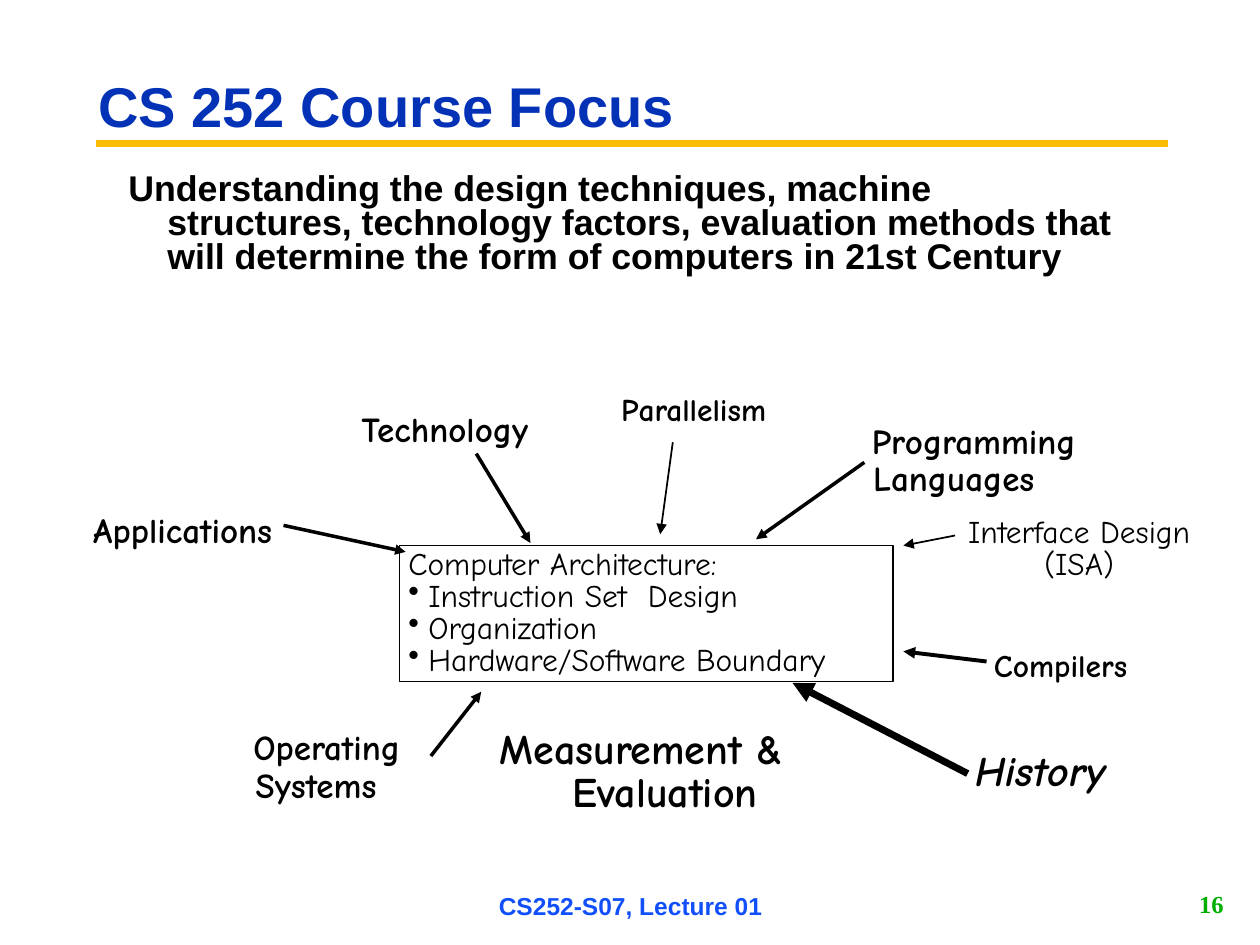
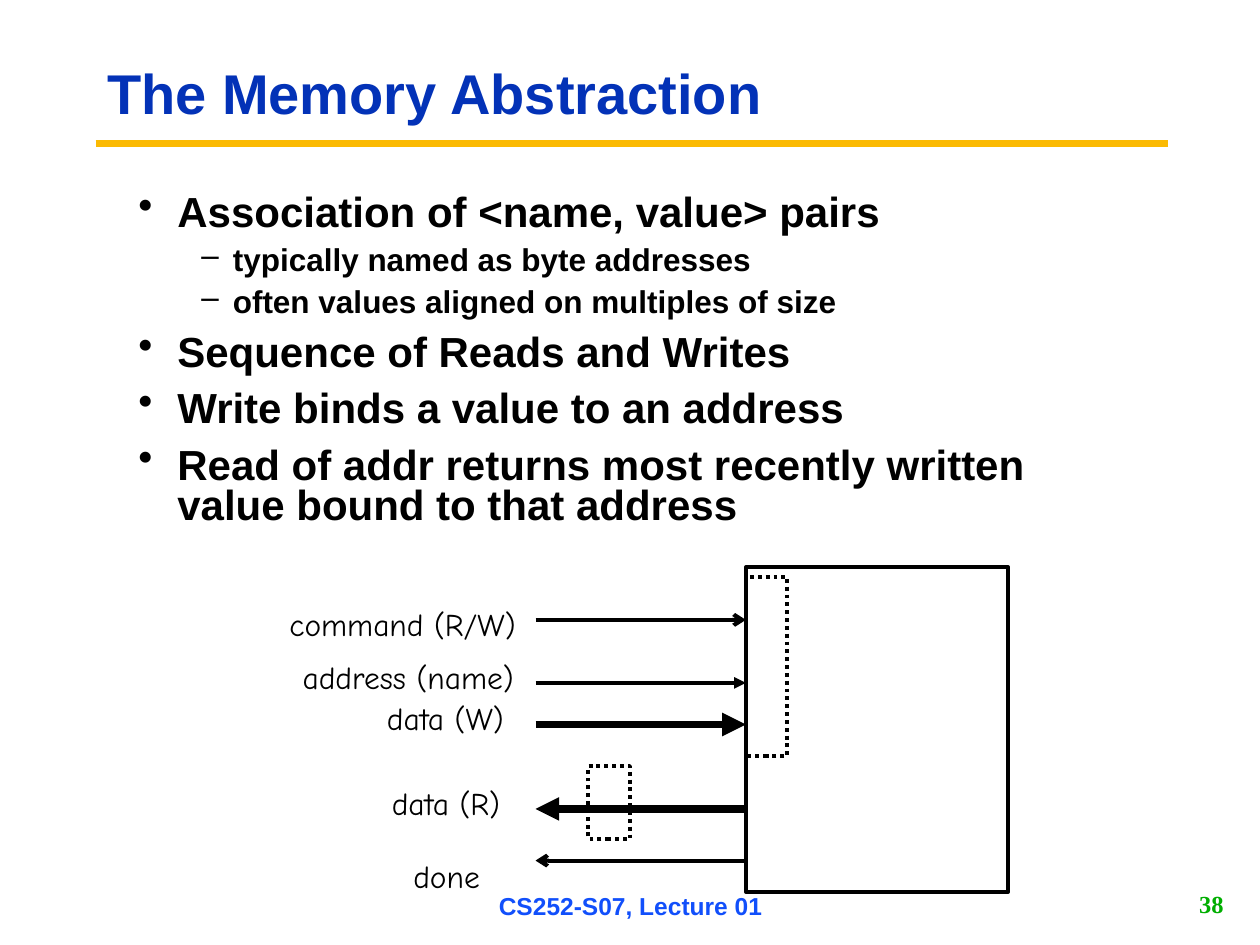
from lxml.etree import SubElement
from pptx import Presentation
from pptx.dml.color import RGBColor
from pptx.enum.dml import MSO_LINE
from pptx.enum.shapes import MSO_CONNECTOR, MSO_SHAPE
from pptx.enum.text import MSO_ANCHOR, MSO_AUTO_SIZE, PP_ALIGN
from pptx.oxml.ns import qn
from pptx.util import Pt

# Shared style: 100 px to the inch
EMU_PER_PX = 9144
COLORS = {"title": "0332B7", "rule": "FBBA03", "footer": "114FFB",
          "number": "00AE00", "ink": "000000"}
HAND, SANS, SERIF = "Comic Neue", "Arial", "Times New Roman"
LEFT, CENTER, RIGHT = PP_ALIGN.LEFT, PP_ALIGN.CENTER, PP_ALIGN.RIGHT
WIDE, NARROW = (10, 5), (7, 3)  # text insets: sides, top and bottom

RULE = (76, 114, 927, 114)
FOOTER = "CS252-S07, Lecture 01"
FOOTER_BOX, NUMBER_BOX = (342, 703, 317, 31), (773, 701, 208, 32)

# Content of the course focus slide
FOCUS_TITLE, FOCUS_TITLE_BOX = "CS 252 Course Focus", (68, 66, 792, 42)
GOAL = ("Understanding the design techniques, machine structures, technology "
        "factors, evaluation methods that will determine the form of computers "
        "in 21st Century")
GOAL_BOX = (92, 133, 808, 100)

TOPIC = dict(size=20, bold=True, spacing=1.02)
TOPICS = [  # text lines, box, format
    (["Technology"], (280, 320, 148, 40), TOPIC),
    (["Programming"], (685, 329, 177, 40), TOPIC),
    (["Languages"], (686, 359, 142, 40), TOPIC),
    (["Operating"], (194, 572, 131, 40), TOPIC),
    (["Systems"], (196, 602, 110, 40), TOPIC),
    (["History"], (767, 590, 117, 44),
     dict(size=24, bold=True, italic=True, spacing=0.97)),
    (["Applications"], (67, 400, 156, 40), TOPIC),
    (["Interface Design", "(ISA)"], (761, 408, 191, 57),
     dict(align=CENTER, spacing=0.85)),
    (["Measurement & Evaluation"], (340, 576, 338, 74),
     dict(size=24, bold=True, align=CENTER, spacing=0.86, wrap=True,
          margin=38, hang=38)),
    (["Parallelism"], (486, 311, 130, 31), dict(bold=True, spacing=0.85)),
    (["Compilers"], (779, 508, 126, 40), dict(bold=True, insets=WIDE)),
]
TOPIC_ARROWS = [  # from x, y to x, y; points
    ((225, 417, 322, 438), 2),
    ((342, 600, 382, 549), 2),
    ((378, 360, 421, 431), 2),
    ((686, 367, 600, 428), 2),
    ((768, 614, 629, 542), 4),
    ((758, 425, 717, 433), 1),
    ((534, 351, 524, 424), 1),
    ((783, 525, 717, 517), 2.25),
]
AREA = dict(bullet="•", margin=16, hang=16)
ARCHITECTURE = ["Computer Architecture:",
                ("Instruction Set  Design", AREA),
                ("Organization", AREA),
                ("Hardware/Software Boundary", AREA)]
ARCHITECTURE_BOX = (317, 433, 392, 108)

# Content of the memory slide
MEMORY_TITLE, MEMORY_TITLE_BOX = "The Memory Abstraction", (75, 36, 798, 81)
POINT = dict(bullet="•", size=24, before=9, margin=31, hang=31)
DETAIL = dict(bullet="–", size=18, before=6.8, margin=75, hang=25)
POINTS = [
    ("Association of <name, value> pairs", POINT),
    ("typically named as byte addresses", DETAIL),
    ("often values aligned on multiples of size", DETAIL),
    ("Sequence of Reads and Writes", POINT),
    ("Write binds a value to an address", POINT),
    ("Read of addr returns most recently written value bound to that address",
     POINT),
]
POINTS_BOX = (100, 150, 783, 275)
MEMORY_BOX = (592, 450, 208, 258)
BUFFER_BOXES = [(592, 458, 33, 142), (467, 608, 33, 58)]
SIGNAL_START, LABEL_HEIGHT = 425, 40
SIGNALS = [  # label, its left, top and width; arrow y, points, head, into memory
    ("address (name)", 230, 517, 188, 542, 2.25, "triangle", True),
    ("command (R/W)", 220, 475, 199, 492, 2.25, "arrow", True),
    ("data (W)", 297, 550, 113, 575, 4.5, "triangle", True),
    ("data (R)", 301, 617, 106, 642, 4.5, "triangle", False),
    ("done", 318, 675, 73, 683, 2.25, "arrow", False),
]


def px(*lengths):
    return [length * EMU_PER_PX for length in lengths]


def rgb(name):
    return RGBColor.from_string(COLORS[name])


def add_bullet(paragraph, mark, margin, hang):
    """Indent a paragraph and give it a bullet, if there is a mark."""
    properties = paragraph._p.get_or_add_pPr()
    left, first = px(margin, -hang)
    properties.set("marL", str(left))
    properties.set("indent", str(first))
    if mark:
        SubElement(properties, qn("a:buChar")).set("char", mark)


def write(shape, lines, font=HAND, size=18, color="ink", bold=False,
          italic=False, align=LEFT, spacing=1.0, before=0, bullet=None,
          margin=0, hang=0, insets=NARROW, wrap=False, anchor=MSO_ANCHOR.TOP):
    """Fill a shape; a line is text, or text with its own paragraph format."""
    frame = shape.text_frame
    frame.word_wrap = wrap
    frame.auto_size = MSO_AUTO_SIZE.NONE
    frame.vertical_anchor = anchor
    side, end = px(*insets)
    frame.margin_left = frame.margin_right = side
    frame.margin_top = frame.margin_bottom = end
    shared = dict(size=size, before=before, bullet=bullet, margin=margin, hang=hang)
    for index, line in enumerate(lines):
        text, own = (line, {}) if isinstance(line, str) else line
        look = {**shared, **own}
        paragraph = frame.add_paragraph() if index else frame.paragraphs[0]
        add_bullet(paragraph, look["bullet"], look["margin"], look["hang"])
        paragraph.alignment = align
        paragraph.line_spacing = spacing
        paragraph.space_before = Pt(look["before"] if index else 0)
        run = paragraph.add_run()
        run.text = text
        run.font.name, run.font.size = font, Pt(look["size"])
        run.font.bold, run.font.italic = bold, italic
        run.font.color.rgb = rgb(color)


def add_text(slide, lines, box, **look):
    write(slide.shapes.add_textbox(*px(*box)), lines, **look)


def add_line(slide, ends, width, color="ink", head=None):
    connector = slide.shapes.add_connector(MSO_CONNECTOR.STRAIGHT, *px(*ends))
    connector.line.color.rgb = rgb(color)
    connector.line.width = Pt(width)
    properties = connector.element.spPr
    if head:
        SubElement(properties.find(qn("a:ln")), qn("a:tailEnd")).set("type", head)
    SubElement(properties, qn("a:effectLst"))


def add_frame(slide, box, width, dash=None):
    """Outline a rectangle without fill."""
    frame = slide.shapes.add_shape(MSO_SHAPE.RECTANGLE, *px(*box))
    frame.shadow.inherit = False
    frame.fill.background()
    frame.line.color.rgb = rgb("ink")
    frame.line.width = Pt(width)
    if dash:
        frame.line.dash_style = dash
    return frame


def add_slide(deck, title, title_box, number):
    """Start a slide with the shared rule, footer, number and title."""
    slide = deck.slides.add_slide(deck.slide_layouts[5])
    add_line(slide, RULE, 3.75, "rule")
    band = dict(size=14, bold=True, insets=WIDE, wrap=True, anchor=MSO_ANCHOR.MIDDLE)
    add_text(slide, [FOOTER], FOOTER_BOX, font=SANS, color="footer",
             align=CENTER, **band)
    add_text(slide, [number], NUMBER_BOX, font=SERIF, color="number",
             align=RIGHT, **band)
    heading = slide.shapes.title
    heading.left, heading.top, heading.width, heading.height = px(*title_box)
    write(heading, [title], font=SANS, color="title", spacing=0.9,
          **{**band, "size": 32})
    return slide


def build_focus(deck):
    slide = add_slide(deck, FOCUS_TITLE, FOCUS_TITLE_BOX, "16")
    add_text(slide, [GOAL], GOAL_BOX, font=SANS, size=20.4, bold=True,
             spacing=0.8, margin=31, hang=31, insets=WIDE, wrap=True)
    # Topics around the architecture box
    for lines, box, look in TOPICS:
        add_text(slide, lines, box, **look)
    for ends, width in TOPIC_ARROWS:
        add_line(slide, ends, width, head="triangle")
    architecture = add_frame(slide, ARCHITECTURE_BOX, 1)
    write(architecture, ARCHITECTURE, spacing=0.85, wrap=True)


def build_memory(deck):
    slide = add_slide(deck, MEMORY_TITLE, MEMORY_TITLE_BOX, "38")
    add_text(slide, POINTS, POINTS_BOX, font=SANS, bold=True, spacing=0.8,
             insets=WIDE, wrap=True)
    # Memory with its signals and buffers
    add_frame(slide, MEMORY_BOX, 2.25)
    for label, left, top, label_width, y, width, head, inward in SIGNALS:
        start, end = SIGNAL_START, MEMORY_BOX[0]
        if not inward:
            start, end = end, start
        add_line(slide, (start, y, end, y), width, head=head)
        add_text(slide, [label], (left, top, label_width, LABEL_HEIGHT),
                 align=CENTER, insets=WIDE)
    for box in BUFFER_BOXES:
        add_frame(slide, box, 2.25, MSO_LINE.ROUND_DOT)


def main():
    deck = Presentation()
    deck.slide_width, deck.slide_height = px(1000, 750)
    build_focus(deck)
    build_memory(deck)
    deck.save("out.pptx")


if __name__ == "__main__":
    main()
